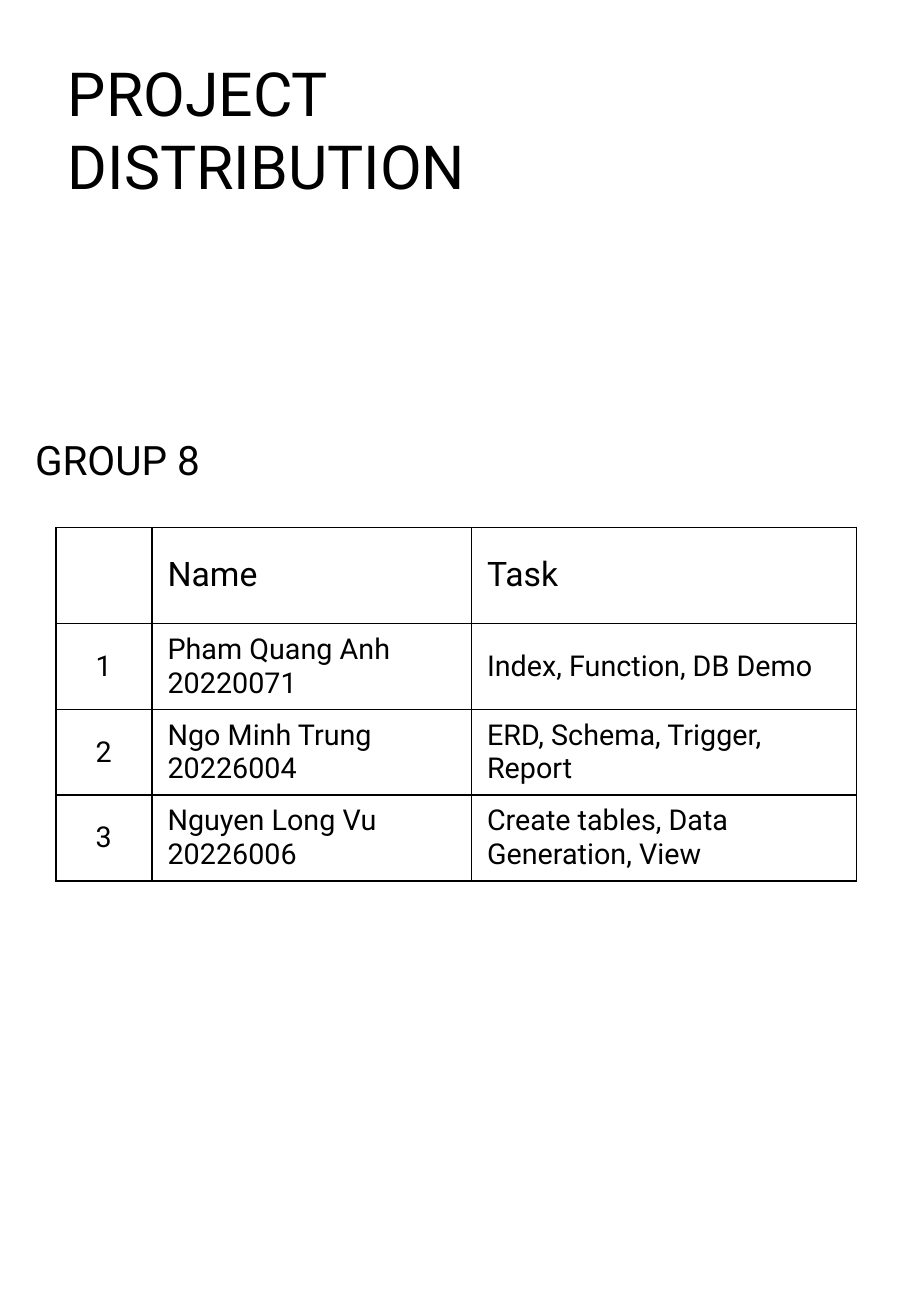
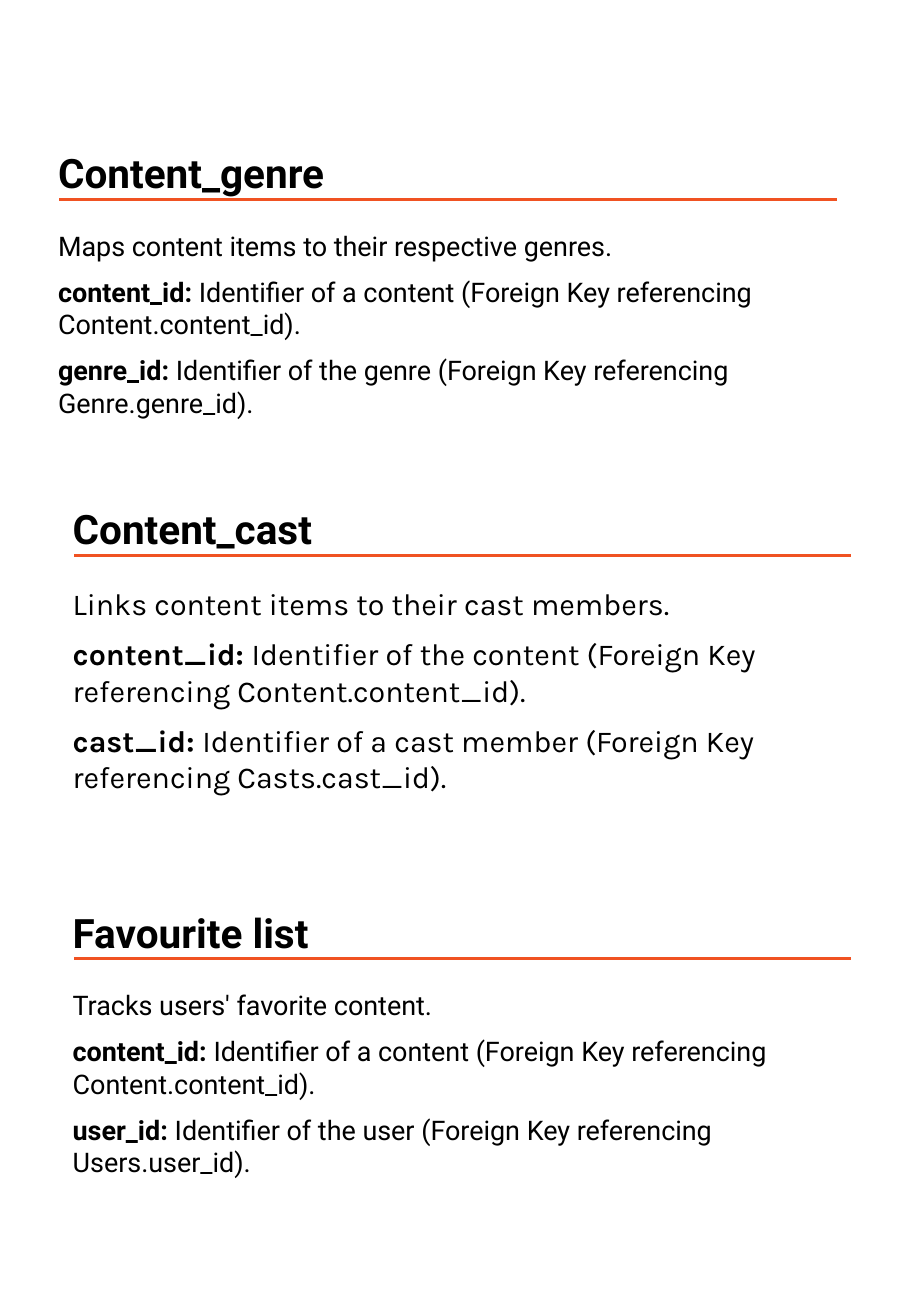
from dataclasses import dataclass

from pptx import Presentation, oxml, slide as sl, table as tb
from pptx import util as u
from pptx.dml import color
from pptx.enum import shapes, text
from pptx.oxml import ns
from pptx.text import text as tx


@dataclass(frozen=True)
class Theme:
    ink: color.RGBColor = color.RGBColor(0, 0, 0)
    paper: color.RGBColor = color.RGBColor(255, 255, 255)
    accent: color.RGBColor = color.RGBColor(0xF0, 0x52, 0x22)
    font: str = "Roboto"
    title_size: int = 36
    heading_size: int = 24
    table_head_size: int = 20
    table_body_size: int = 17
    body_size: int = 16
    rule_width: float = 1.5
    border_width: float = 1
    paragraph_gap: int = 8


THEME = Theme()


@dataclass(frozen=True)
class Field:
    label: str
    description: str


@dataclass(frozen=True)
class Entity:
    name: str
    left: float
    top: float
    summary: str
    fields: tuple[Field, ...]
    height: float = 1.67
    font: str = THEME.font
    size: int = THEME.body_size


@dataclass(frozen=True)
class Member:
    name: str
    student_id: str
    task: str


MEMBERS = (
    Member("Pham Quang Anh", "20220071", "Index, Function, DB Demo"),
    Member("Ngo Minh Trung", "20226004", "ERD, Schema, Trigger, Report"),
    Member("Nguyen Long Vu", "20226006", "Create tables, Data Generation, View"),
)
COLUMN_WIDTHS = (0.79, 2.63, 3.17)
HEADER_HEIGHT, ROW_HEIGHT = 0.79, 0.67

ENTITIES = (
    Entity("Content_genre", 0.38, 1.11, "Maps content items to their respective genres.", (
        Field("content_id: ", "Identifier of a content (Foreign Key referencing Content.content_id)."),
        Field("genre_id: ", "Identifier of the genre (Foreign Key referencing Genre.genre_id)."),
    )),
    Entity("Content_cast", 0.5, 4.04, "Links content items to their cast members.", (
        Field("content_id: ", "Identifier of the content (Foreign Key referencing Content.content_id)."),
        Field("cast_id: ", "Identifier of a cast member (Foreign Key referencing Casts.cast_id)."),
    ), height=1.84, font="Karla", size=18),
    Entity("Favourite list", 0.5, 7.36, "Tracks users' favorite content.", (
        Field("content_id: ", "Identifier of a content (Foreign Key referencing Content.content_id)."),
        Field("user_id: ", "Identifier of the user (Foreign Key referencing Users.user_id)."),
    )),
)


# Shared text helpers
def style_runs(frame: tx.TextFrame, size: float, font: str = THEME.font) -> None:
    for paragraph in frame.paragraphs:
        for run in paragraph.runs:
            run.font.size = u.Pt(size)
            run.font.name = font
            run.font.color.rgb = THEME.ink


def add_text(slide: sl.Slide, left: float, top: float, width: float, height: float,
             content: str, size: float) -> tx.TextFrame:
    box = slide.shapes.add_textbox(u.Inches(left), u.Inches(top), u.Inches(width), u.Inches(height))
    frame = box.text_frame
    frame.word_wrap = True
    frame.auto_size = text.MSO_AUTO_SIZE.SHAPE_TO_FIT_TEXT
    frame.text = content
    style_runs(frame, size)
    return frame


# Project table
def add_borders(cell: tb._Cell) -> None:
    properties = cell._tc.get_or_add_tcPr()
    for side in ("lnL", "lnR", "lnT", "lnB"):
        properties.append(oxml.parse_xml(
            f'<a:{side} {ns.nsdecls("a")} w="{u.Pt(THEME.border_width)}">'
            f'<a:solidFill><a:srgbClr val="{THEME.ink}"/></a:solidFill></a:{side}>'))


def fill_cell(cell: tb._Cell, content: str, size: float, centred: bool) -> None:
    add_borders(cell)
    cell.fill.solid()
    cell.fill.fore_color.rgb = THEME.paper
    cell.margin_left = cell.margin_right = u.Inches(0.13)
    cell.margin_top = cell.margin_bottom = u.Inches(0.07)
    cell.vertical_anchor = text.MSO_ANCHOR.MIDDLE
    cell.text_frame.text = content
    style_runs(cell.text_frame, size)
    if centred:
        cell.text_frame.paragraphs[0].alignment = text.PP_ALIGN.CENTER


def add_task_table(slide: sl.Slide, left: float, top: float) -> None:
    rows = [("", "Name", "Task")]
    rows += [(str(number), f"{member.name}\n{member.student_id}", member.task)
             for number, member in enumerate(MEMBERS, 1)]
    height = HEADER_HEIGHT + ROW_HEIGHT * len(MEMBERS)
    table = slide.shapes.add_table(
        len(rows), len(COLUMN_WIDTHS), u.Inches(left), u.Inches(top),
        u.Inches(sum(COLUMN_WIDTHS)), u.Inches(height)).table
    table.first_row = table.horz_banding = False
    for column, width in zip(table.columns, COLUMN_WIDTHS):
        column.width = u.Inches(width)
    for row_index, values in enumerate(rows):
        is_header = row_index == 0
        table.rows[row_index].height = u.Inches(HEADER_HEIGHT if is_header else ROW_HEIGHT)
        size = THEME.table_head_size if is_header else THEME.table_body_size
        for column_index, value in enumerate(values):
            fill_cell(table.cell(row_index, column_index), value, size, column_index == 0)


# Entity descriptions
def add_rule(slide: sl.Slide, left: float, top: float, width: float) -> None:
    rule = slide.shapes.add_connector(
        shapes.MSO_CONNECTOR.STRAIGHT,
        u.Inches(left), u.Inches(top), u.Inches(left + width), u.Inches(top))
    rule.line.color.rgb = THEME.accent
    rule.line.width = u.Pt(THEME.rule_width)
    rule._element.spPr.append(oxml.parse_xml(f'<a:effectLst {ns.nsdecls("a")}/>'))


def add_entity(slide: sl.Slide, entity: Entity) -> None:
    body = add_text(slide, entity.left, entity.top + 0.73, 6.69, entity.height,
                    entity.summary, entity.size)
    for field in entity.fields:
        paragraph = body.add_paragraph()
        for content, bold in ((field.label, True), (field.description, False)):
            run = paragraph.add_run()
            run.text = content
            run.font.bold = bold
    style_runs(body, entity.size, entity.font)
    for paragraph in body.paragraphs:
        paragraph.space_after = u.Pt(THEME.paragraph_gap)

    heading = add_text(slide, entity.left, entity.top, 3.75, 0.53,
                       entity.name, THEME.heading_size).paragraphs[0]
    heading.line_spacing = 1.15
    heading.space_after = u.Pt(THEME.paragraph_gap)
    heading.runs[0].font.bold = True
    add_rule(slide, entity.left + 0.11, entity.top + 0.53, 6.4)


# Slides
def add_blank_slide(presentation) -> sl.Slide:
    slide = presentation.slides.add_slide(presentation.slide_layouts[6])
    slide.background.fill.solid()
    slide.background.fill.fore_color.rgb = THEME.paper
    return slide


def main() -> None:
    presentation = Presentation()
    presentation.slide_width = u.Inches(7.5)
    presentation.slide_height = u.Inches(10.83)

    distribution = add_blank_slide(presentation)
    add_text(distribution, 0.46, 0.41, 4.35, 1.31, "PROJECT DISTRIBUTION", THEME.title_size)
    add_text(distribution, 0.19, 3.53, 2.53, 0.5, "GROUP 8", THEME.heading_size)
    add_task_table(distribution, 0.46, 4.34)

    schema = add_blank_slide(presentation)
    for entity in ENTITIES:
        add_entity(schema, entity)

    presentation.save("out.pptx")


if __name__ == "__main__":
    main()
